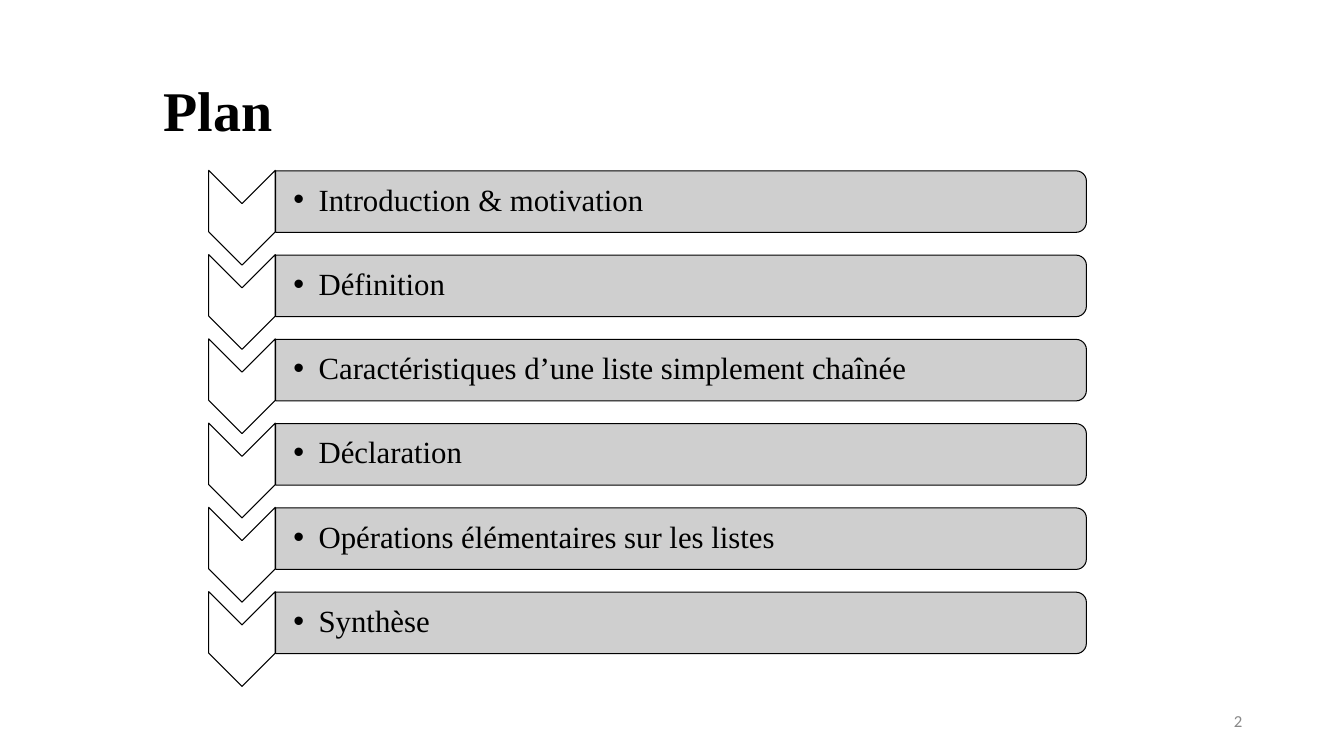
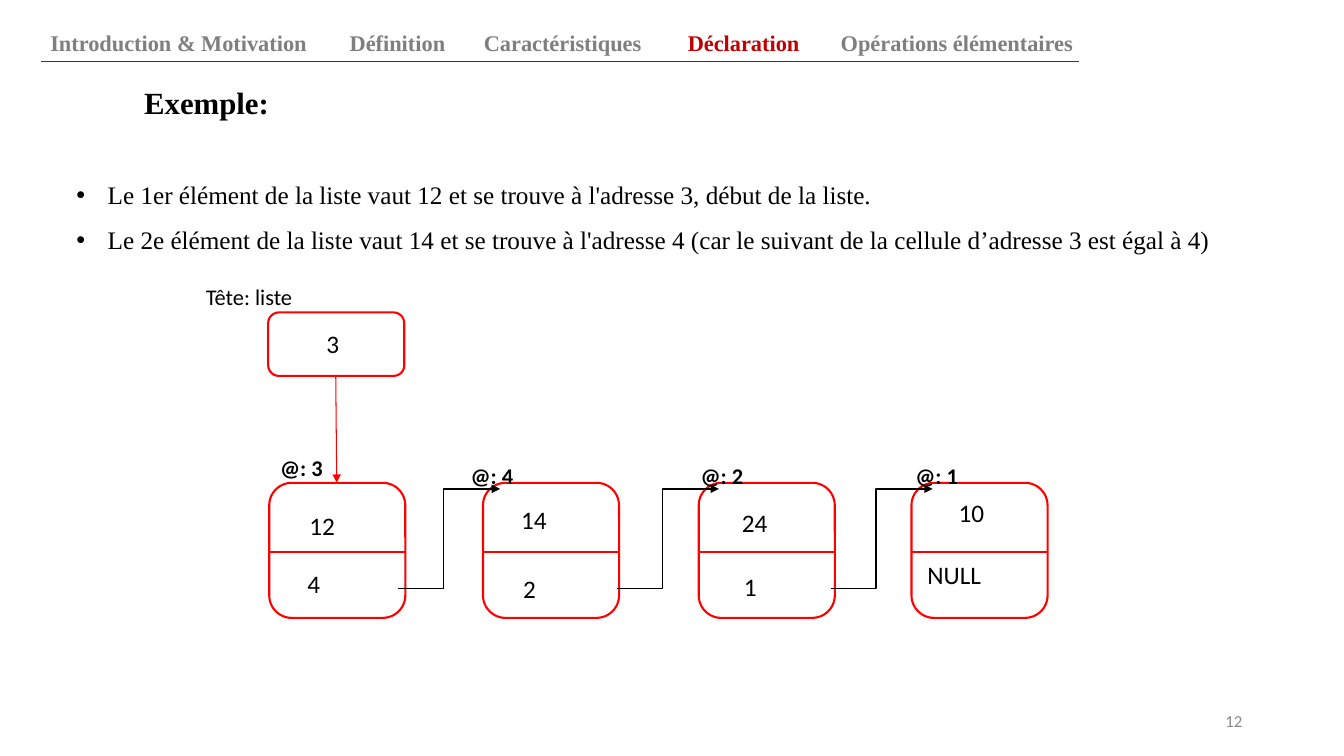
import dataclasses

import lxml.etree
import pptx
import pptx.dml.color
import pptx.enum.shapes
import pptx.enum.text
import pptx.oxml.ns
import pptx.util

Inches = pptx.util.Inches
Pt = pptx.util.Pt
qn = pptx.oxml.ns.qn
rgb = pptx.dml.color.RGBColor.from_string
SHAPE = pptx.enum.shapes.MSO_SHAPE
CONNECTOR = pptx.enum.shapes.MSO_CONNECTOR
ALIGN = pptx.enum.text.PP_ALIGN
ANCHOR = pptx.enum.text.MSO_ANCHOR


@dataclasses.dataclass(frozen=True)
class Theme:
    """Colours, fonts and type sizes of the deck."""
    ink: str = "000000"
    paper: str = "FFFFFF"
    bar: str = "CACACA"
    muted: str = "7F7F7F"
    number: str = "888888"
    accent: str = "C00000"
    cell: str = "FF0000"
    serif: str = "Times New Roman"
    sans: str = "Calibri"
    title: int = 40
    heading: int = 22
    body: int = 18
    small: int = 16
    footer: int = 12


theme = Theme()


def add_text(s, box, lines, size, font=theme.serif, color=theme.ink, bold=False,
             align=ALIGN.LEFT, anchor=ANCHOR.TOP, spacing=1.0, indent=0,
             insets=(0.1, 0.05, 0.1, 0.05), holder=None):
    """Write lines into a new text box or the given placeholder; indent adds bullets."""
    sp = holder or s.shapes.add_textbox(0, 0, 0, 0)
    sp.left, sp.top, sp.width, sp.height = map(Inches, box)
    tf = sp.text_frame
    tf.word_wrap = True
    tf.auto_size = pptx.enum.text.MSO_AUTO_SIZE.NONE
    tf.vertical_anchor = anchor
    tf.margin_left, tf.margin_top, tf.margin_right, tf.margin_bottom = map(Inches, insets)
    for i, line in enumerate(lines):
        p = tf.add_paragraph() if i else tf.paragraphs[0]
        p.alignment = align
        p.line_spacing = spacing
        if indent:
            pPr = p._p.get_or_add_pPr()
            pPr.set("marL", str(Inches(indent)))
            pPr.set("indent", str(-Inches(indent)))
            lxml.etree.SubElement(pPr, qn("a:buFont")).set("typeface", "Arial")
            lxml.etree.SubElement(pPr, qn("a:buChar")).set("char", "•")
        r = p.add_run()
        r.text = line
        r.font.name, r.font.size, r.font.bold = font, Pt(size), bold
        r.font.color.rgb = rgb(color)


def add_box(s, kind, box, line, width, adjustments, fill=None, rotation=0):
    """Add an outlined preset shape, filled when a colour is given."""
    sp = s.shapes.add_shape(kind, *map(Inches, box))
    sp.shadow.inherit = False
    sp.rotation = rotation
    for i, value in enumerate(adjustments):
        sp.adjustments[i] = value
    sp.line.color.rgb = rgb(line)
    sp.line.width = Pt(width)
    if fill:
        sp.fill.solid()
        sp.fill.fore_color.rgb = rgb(fill)
    else:
        sp.fill.background()
    return sp


prs = pptx.Presentation()
prs.slide_width, prs.slide_height = Inches(13.33), Inches(7.5)

# Titles and slide numbers
headings = [
    ("Plan", theme.title, (0.69, 0.4, 8.62, 1.45), 0.93, "2"),
    ("Exemple:", theme.heading, (1.33, 0.52, 8.62, 1.04), 0.1, "12"),
]
slides = []
for title, size, box, inset, number in headings:
    s = prs.slides.add_slide(prs.slide_layouts[5])
    add_text(s, box, [title], size, bold=True, anchor=ANCHOR.MIDDLE, spacing=0.9,
             insets=(inset, 0.05, 0.1, 0.05), holder=s.shapes.title)
    add_text(s, (9.42, 6.95, 3, 0.4), [number], theme.footer, theme.sans, theme.number,
             align=ALIGN.RIGHT, anchor=ANCHOR.MIDDLE)
    slides.append(s)
plan, example = slides

# Plan: chevrons with topic bars
topics = [
    "Introduction & motivation",
    "Définition",
    "Caractéristiques d’une liste simplement chaînée",
    "Déclaration",
    "Opérations élémentaires sur les listes",
    "Synthèse",
]
topic_step = 4.18 / 5
for i, topic in enumerate(topics):
    y = i * topic_step
    add_box(plan, SHAPE.CHEVRON, (1.93, 1.83 + y, 0.94, 0.66), theme.ink, 0.75,
            [0.5], theme.paper, 90)
    bar = add_box(plan, SHAPE.ROUND_2_SAME_RECTANGLE, (6.45, -2.02 + y, 0.61, 8.04),
                  theme.ink, 0.75, [0.167, 0], theme.bar, 90)
    bar_color = bar._element.spPr.find(qn("a:solidFill"))[0]
    lxml.etree.SubElement(bar_color, qn("a:alpha")).set("val", "89000")
    add_text(plan, (2.74, 1.72 + y, 8.01, 0.55), [topic], theme.heading,
             anchor=ANCHOR.MIDDLE, spacing=0.9, indent=0.25,
             insets=(0.17, 0.02, 0.02, 0.02))

# Example: section navigation
sections = [
    ("Introduction & Motivation", 0.4, 2.98),
    ("Définition", 3.37, 1.24),
    ("Caractéristiques", 4.7, 1.91),
    ("Déclaration", 6.7, 1.35),
    ("Opérations élémentaires", 8.24, 2.64),
]
for section, x, w in sections:
    current = section == "Déclaration"
    add_text(example, (x, 0.19, w, 0.41), [section], theme.small, bold=True,
             color=theme.accent if current else theme.muted,
             align=ALIGN.CENTER if current else ALIGN.LEFT, anchor=ANCHOR.BOTTOM)

add_text(example, (0.66, 1.58, 12.08, 0.96), [
    "Le 1er élément de la liste vaut 12 et se trouve à l'adresse 3, début de la liste.",
    "Le 2e élément de la liste vaut 14 et se trouve à l'adresse 4 "
    "(car le suivant de la cellule d’adresse 3 est égal à 4)",
], theme.body, spacing=1.5, indent=0.31)

# Example: list head and cells
add_box(example, SHAPE.ROUNDED_RECTANGLE, (2.66, 3.1, 1.35, 0.63), theme.cell, 1.5, [0.167])
add_text(example, (1.78, 2.76, 1.38, 0.37), ["Tête: liste"], theme.small, theme.sans,
         align=ALIGN.CENTER)

lines = [
    (CONNECTOR.STRAIGHT, (0.41, 0.61, 10.7, 0.61), theme.accent, 0.75, False),
    (CONNECTOR.STRAIGHT, (3.33, 3.73, 3.34, 4.79), theme.cell, 0.75, True),
]
# Cell left edge, then text and position of its address
cells = [
    (2.67, "@: 3", 2.34, 4.46),
    (4.79, "@: 4", 4.23, 4.54),
    (6.93, "@: 2", 6.51, 4.54),
    (9.04, "@: 1", 8.64, 4.54),
]
for x, address, address_x, address_y in cells:
    add_box(example, SHAPE.ROUNDED_RECTANGLE, (x, 4.79, 1.35, 1.34), theme.cell, 1.5, [0.167])
    add_text(example, (address_x, address_y, 1.3, 0.37), [address], theme.small, theme.sans,
             bold=True, align=ALIGN.CENTER)
    lines.append((CONNECTOR.STRAIGHT, (x, 5.48, x + 1.35, 5.48), theme.cell, 1.5, False))
for x in (3.95, 6.12, 8.24):
    lines.append((CONNECTOR.ELBOW, (x, 5.84, x + 1.01, 4.85), theme.ink, 1, True))

values = [
    ("3", 3.14, 3.21),
    ("12", 2.97, 5.01), ("4", 2.95, 5.59),
    ("14", 5.07, 4.95), ("2", 5.09, 5.64),
    ("24", 7.26, 4.98), ("1", 7.28, 5.62),
    ("10", 9.41, 4.88), ("NULL", 9.1, 5.5),
]
value_widths = {1: 0.34, 2: 0.47, 4: 0.76}
for value, x, y in values:
    add_text(example, (x, y, value_widths[len(value)], 0.4), [value], theme.body, theme.sans)

# Example: rule, dividers and arrows
for kind, ends, color, width, arrow in lines:
    cxn = example.shapes.add_connector(kind, *map(Inches, ends))
    cxn.line.color.rgb = rgb(color)
    cxn.line.width = Pt(width)
    spPr = cxn._element.spPr
    if arrow:
        lxml.etree.SubElement(spPr.find(qn("a:ln")), qn("a:tailEnd")).set("type", "triangle")
    if kind == CONNECTOR.ELBOW:
        bend = lxml.etree.SubElement(spPr.find(qn("a:prstGeom")).find(qn("a:avLst")), qn("a:gd"))
        bend.set("name", "adj1")
        bend.set("fmla", "val 44400")
    lxml.etree.SubElement(spPr, qn("a:effectLst"))

prs.save("out.pptx")
